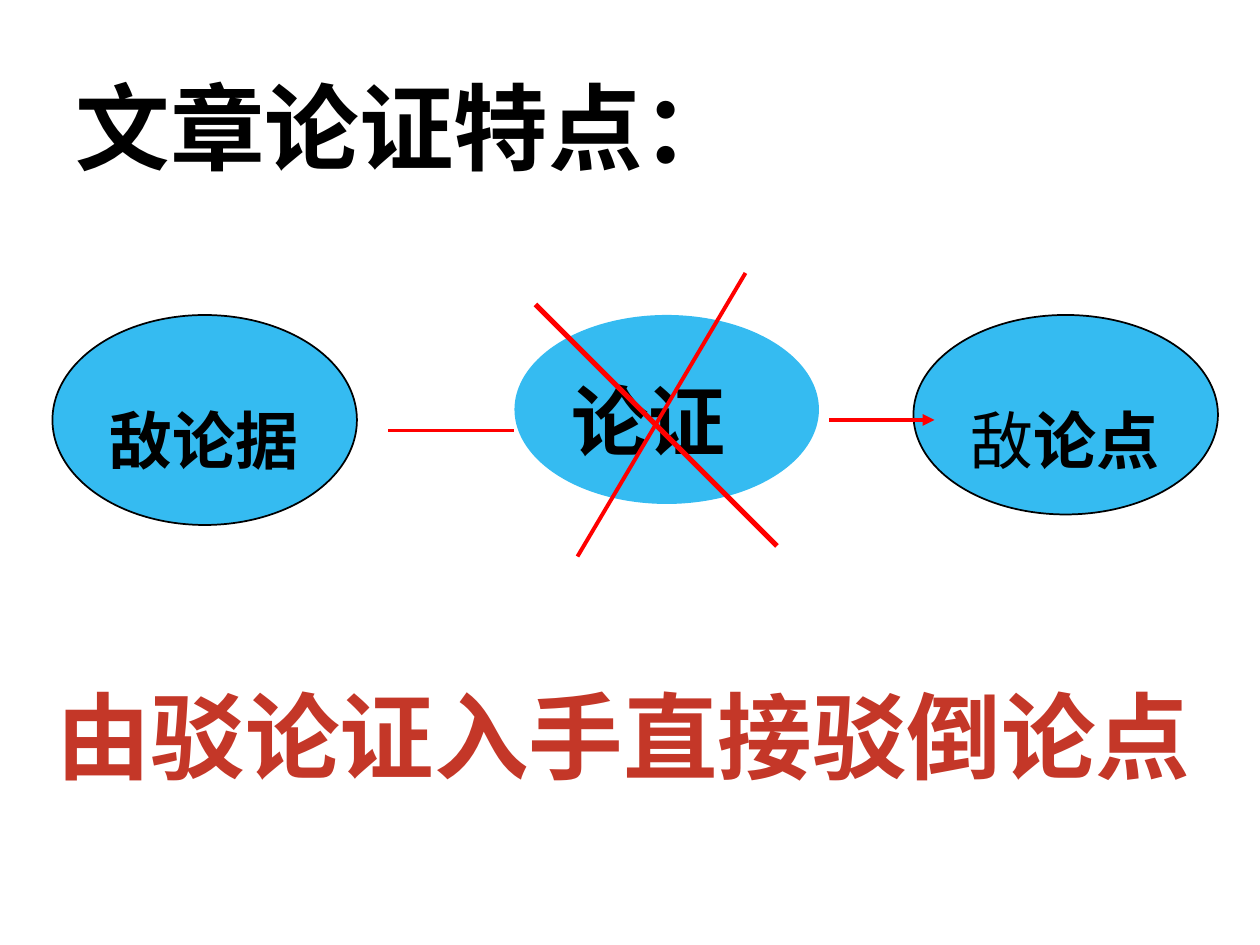
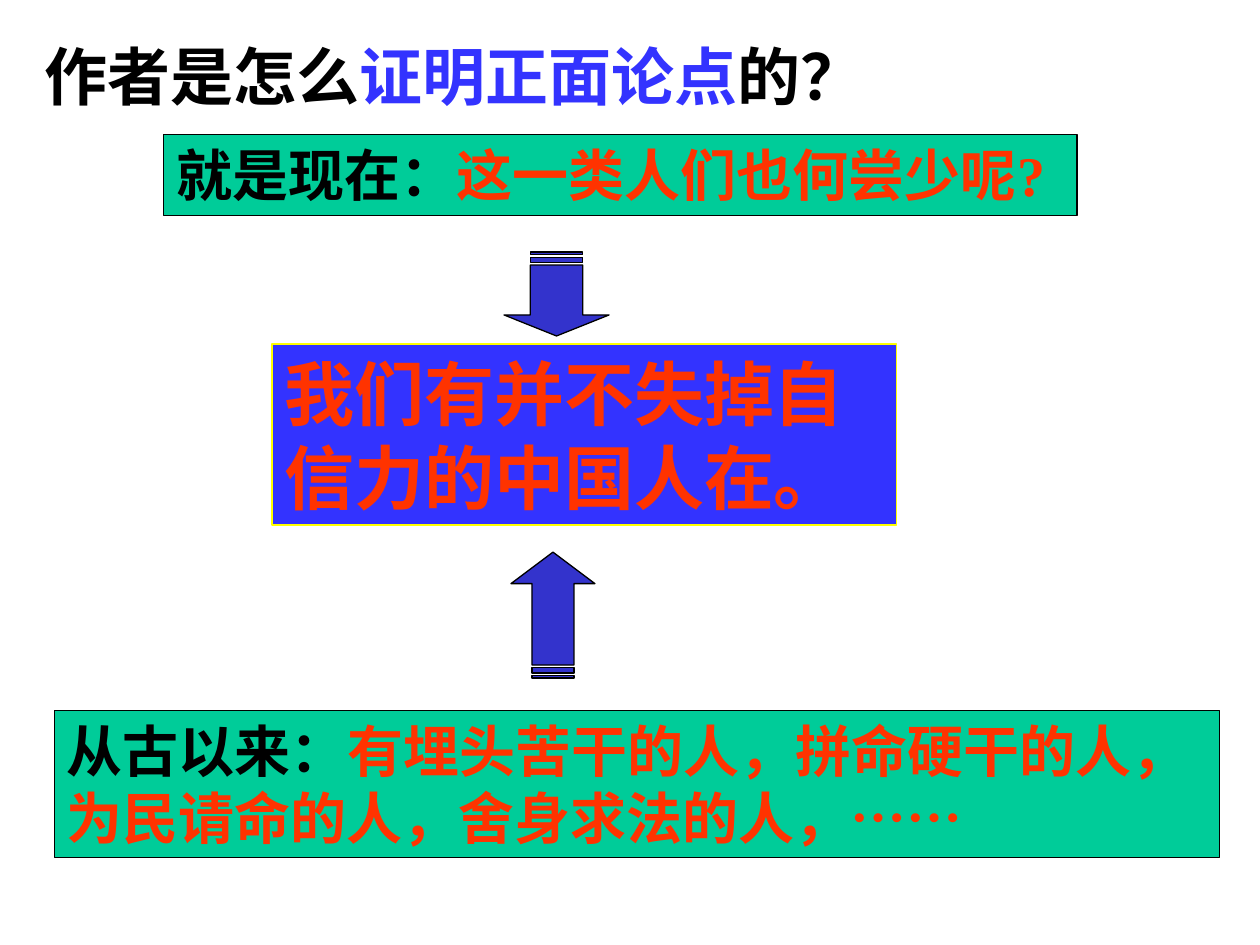
import pptx
import pptx.dml.color
import pptx.enum.shapes
import pptx.enum.text
import pptx.oxml
import pptx.oxml.ns
import pptx.util

Pt = pptx.util.Pt
SHAPE = pptx.enum.shapes.MSO_SHAPE
ANCHOR = pptx.enum.text.MSO_ANCHOR
BLACK, RED, SKY, BRICK = "000000", "FF0000", "35BBF1", "C43728"
GREEN, BLUE, ARROW_BLUE, ORANGE, YELLOW = "00CC99", "3333FF", "3333CC", "FF3300", "FFFF00"
FONT = "Times New Roman"


def paint(target, color):
    if hasattr(target, "solid"):
        target.solid()
        target.fore_color.rgb = pptx.dml.color.RGBColor.from_string(color)
    else:
        target.color.rgb = pptx.dml.color.RGBColor.from_string(color)


def write(holder, size, pieces, anchor=ANCHOR.TOP):
    frame = holder.text_frame
    frame.word_wrap = True
    frame.auto_size = pptx.enum.text.MSO_AUTO_SIZE.NONE
    frame.vertical_anchor = anchor
    frame.margin_left = frame.margin_right = Pt(7.2)
    frame.margin_top = frame.margin_bottom = Pt(3.6)
    paragraph = frame.paragraphs[0]
    paragraph.alignment = pptx.enum.text.PP_ALIGN.LEFT
    for words, color, bold in pieces:
        run = paragraph.add_run()
        run.text = words
        run.font.name = FONT
        run.font.size = Pt(size)
        run.font.bold = bold
        paint(run.font, color)


deck = pptx.Presentation()
deck.slide_width, deck.slide_height = Pt(720), Pt(540)

titles = [
    ((36, 36, 396, 72), 54, [("文章论证特点：", BLACK, True)]),
    ((18, 18, 546, 50), 36, [("作者是怎么", BLACK, True),
                             ("证明正面论点", BLUE, True),
                             ("的？", BLACK, True)]),
]
slides = []
for (left, top, width, height), size, pieces in titles:
    slide = deck.slides.add_slide(deck.slide_layouts[5])
    heading = slide.shapes.title
    heading.left, heading.top = Pt(left), Pt(top)
    heading.width, heading.height = Pt(width), Pt(height)
    write(heading, size, pieces)
    slides.append(slide)
refutation, proof = slides

stages = [
    (30, 120, True, 204, 144, 36, [("敌论据", BLACK, True)]),
    (522, 114, True, 204, 168, 36, [("敌", BLACK, False), ("论点", BLACK, True)]),
    (294, 108, False, 198, 156, 44, [("论证", BLACK, True)]),
]
for left, height, outlined, label_top, label_width, size, pieces in stages:
    stage = refutation.shapes.add_shape(SHAPE.OVAL, Pt(left), Pt(180), Pt(174), Pt(height))
    stage.shadow.inherit = False
    paint(stage.fill, SKY)
    if outlined:
        paint(stage.line, BLACK)
        stage.line.width = Pt(1)
    else:
        stage.line.fill.background()
    label = refutation.shapes.add_textbox(Pt(left + 12), Pt(label_top), Pt(label_width), Pt(72))
    write(label, size, pieces, ANCHOR.BOTTOM)
    label.text_frame.margin_left = Pt(20.7)

strokes = [
    (474, 240, 534, 240, 2.25, True),
    (222, 246, 294, 246, 2.25, False),
    (306, 174, 444, 312, 3, False),
    (426, 156, 330, 318, 2.25, False),
]
for x1, y1, x2, y2, weight, pointed in strokes:
    stroke = refutation.shapes.add_connector(
        pptx.enum.shapes.MSO_CONNECTOR.STRAIGHT, Pt(x1), Pt(y1), Pt(x2), Pt(y2))
    paint(stroke.line, RED)
    stroke.line.width = Pt(weight)
    properties = stroke._element.spPr
    if pointed:
        tail = pptx.oxml.parse_xml(
            '<a:tailEnd %s type="triangle"/>' % pptx.oxml.ns.nsdecls("a"))
        stroke.line._get_or_add_ln().append(tail)
    properties.append(pptx.oxml.parse_xml('<a:effectLst %s/>' % pptx.oxml.ns.nsdecls("a")))

conclusion = refutation.shapes.add_textbox(Pt(25), Pt(384), Pt(695), Pt(72))
write(conclusion, 54, [("由驳论证入手直接驳倒论点", BRICK, True)])

statements = [
    (155.5, 196.5, 357, 103.5, BLUE, YELLOW, 40,
     [("我们有并不失掉自信力的中国人在。", ORANGE, True)]),
    (31, 406, 666, 84, GREEN, BLACK, 32,
     [("从古以来：", BLACK, True),
      ("有埋头苦干的人，拼命硬干的人，为民请命的人，舍身求法的人，……", ORANGE, True)]),
    (93.5, 77, 522, 46, GREEN, BLACK, 32,
     [("就是现在：", BLACK, True), ("这一类人们也何尝少呢?", ORANGE, True)]),
]
for left, top, width, height, fill, edge, size, pieces in statements:
    statement = proof.shapes.add_shape(SHAPE.RECTANGLE, Pt(left), Pt(top), Pt(width), Pt(height))
    statement.shadow.inherit = False
    paint(statement.fill, fill)
    paint(statement.line, edge)
    statement.line.width = Pt(0.75)
    write(statement, size, pieces)

supports = [
    (280, 327.5, 72, 48, 270, 0.375),
    (294, 138, 48, 60, 90, 0.25),
]
for left, top, length, thickness, turn, head in supports:
    support = proof.shapes.add_shape(
        SHAPE.STRIPED_RIGHT_ARROW, Pt(left), Pt(top), Pt(length), Pt(thickness))
    support.rotation = turn
    support.adjustments[0] = 0.5
    support.adjustments[1] = head
    support.shadow.inherit = False
    paint(support.fill, ARROW_BLUE)
    paint(support.line, BLACK)
    support.line.width = Pt(0.75)

deck.save("out.pptx")
